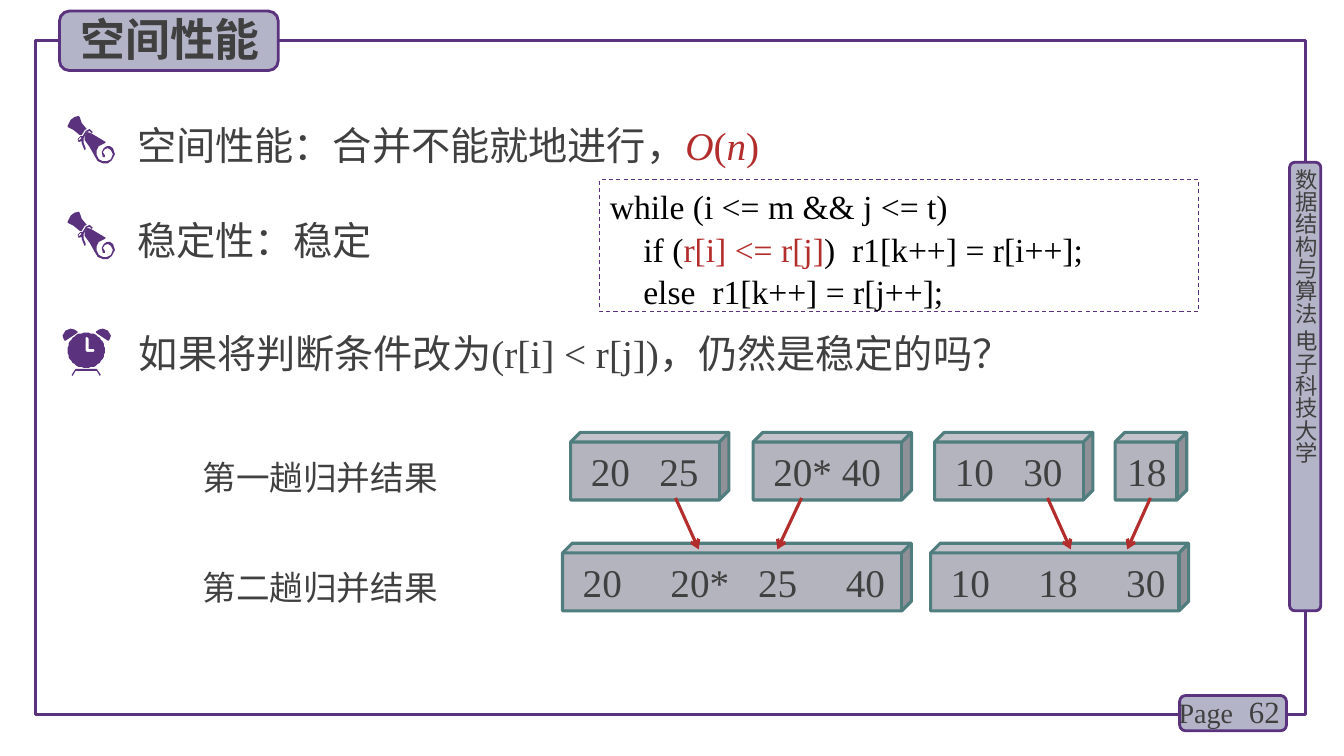
from dataclasses import dataclass
from math import cos, pi, sin
from typing import NamedTuple

from lxml.etree import SubElement
from pptx import Presentation
from pptx.dml.color import RGBColor
from pptx.enum.dml import MSO_LINE_DASH_STYLE as Dash
from pptx.enum.shapes import MSO_CONNECTOR, MSO_SHAPE as Preset
from pptx.enum.text import MSO_ANCHOR as Anchor, PP_ALIGN as Align
from pptx.oxml.ns import qn
from pptx.util import Inches, Pt

PURPLE = RGBColor(0x5A, 0x32, 0x7D)
LAVENDER = RGBColor(0xB4, 0xB4, 0xC8)
STEEL = RGBColor(0xB4, 0xB4, 0xBE)
TEAL = RGBColor(0x50, 0x7D, 0x7D)
RED = RGBColor(0xB4, 0x2D, 0x2D)
GRAY = RGBColor(0x40, 0x40, 0x40)
BLACK = RGBColor(0, 0, 0)
SERIF, SANS = "Times New Roman", "Noto Sans CJK SC"

Point = tuple[float, float]
Contour = list[Point]


class Run(NamedTuple):
    text: str
    color: RGBColor = GRAY
    italic: bool = False


@dataclass
class Panel:
    left: float
    top: float
    width: float
    height: float
    preset: int = Preset.ROUNDED_RECTANGLE
    fill: RGBColor | None = LAVENDER
    line: RGBColor = PURPLE
    weight: float = 2


@dataclass
class Label:
    left: float
    top: float
    width: float
    height: float
    runs: list[Run]
    size: float = 28
    font: str = SERIF
    bold: bool = False
    inset: float = 0.1
    spacing: float = 1
    align: int = Align.LEFT


@dataclass
class Block:
    left: float
    top: float
    width: float
    numbers: list[str]
    step: float


presentation = Presentation()
presentation.slide_width, presentation.slide_height = Inches(13.33), Inches(7.5)
slide = presentation.slides.add_slide(presentation.slide_layouts[6])
shapes = slide.shapes


def write(paragraph, runs: list[Run], size: float, font: str = SERIF, bold: bool = False) -> None:
    for text, color, italic in runs:
        run = paragraph.add_run()
        run.text = text
        formats = {"size": Pt(size), "name": font, "bold": bold, "italic": italic}
        for name, value in formats.items():
            setattr(run.font, name, value)
        run.font.color.rgb = color
        SubElement(run.font._element, qn("a:ea")).set("typeface", SANS)


def draw_panel(panel: Panel):
    shape = shapes.add_shape(panel.preset, Inches(panel.left), Inches(panel.top),
                             Inches(panel.width), Inches(panel.height))
    shape.shadow.inherit = False
    if panel.fill is None:
        shape.fill.background()
    else:
        shape.fill.solid()
        shape.fill.fore_color.rgb = panel.fill
    shape.line.color.rgb = panel.line
    shape.line.width = Pt(panel.weight)
    return shape


def draw_label(label: Label):
    box = shapes.add_textbox(Inches(label.left), Inches(label.top),
                             Inches(label.width), Inches(label.height))
    frame = box.text_frame
    frame.word_wrap = True
    frame.margin_left = Inches(label.inset)
    paragraph = frame.paragraphs[0]
    paragraph.alignment = label.align
    paragraph.line_spacing = label.spacing
    write(paragraph, label.runs, label.size, label.font, label.bold)
    return frame


def draw_block(block: Block) -> None:
    shape = draw_panel(Panel(block.left, block.top, block.width, 0.67, Preset.CUBE, STEEL, TEAL, 2.25))
    shape.adjustments[0] = 0.143
    frame = shape.text_frame
    frame.word_wrap = True
    frame.vertical_anchor = Anchor.MIDDLE
    frame.margin_left = Inches(0.2 if block.step else 0.12)
    frame.margin_right = 0
    paragraph = frame.paragraphs[0]
    paragraph.alignment = Align.LEFT
    if block.step:
        tabs = SubElement(paragraph._p.get_or_add_pPr(), qn("a:tabLst"))
        for index in range(1, len(block.numbers)):
            tab = SubElement(tabs, qn("a:tab"))
            tab.set("pos", str(Inches(block.step * index)))
            tab.set("algn", "l")
    write(paragraph, [Run("\t".join(block.numbers))], 28)


def draw_arrow(start: Point, end: Point) -> None:
    arrow = shapes.add_connector(MSO_CONNECTOR.STRAIGHT, *map(Inches, start + end))
    arrow.line.color.rgb = RED
    arrow.line.width = Pt(2.25)
    SubElement(arrow.line._get_or_add_ln(), qn("a:tailEnd")).set("type", "arrow")
    SubElement(arrow._element.spPr, qn("a:effectLst"))


def draw_icon(parts: list[list[Contour]], left: float, top: float) -> None:
    """Draw filled outlines whose points are hundredths of an inch."""
    for first, *holes in parts:
        builder = shapes.build_freeform(*first[0], scale=Inches(0.01))
        builder.add_line_segments(first[1:], close=True)
        for hole in holes:
            builder.move_to(*hole[0])
            builder.add_line_segments(hole[1:], close=True)
        shape = builder.convert_to_shape(Inches(left), Inches(top))
        shape.shadow.inherit = False
        shape.fill.solid()
        shape.fill.fore_color.rgb = PURPLE
        shape.line.fill.background()


# Frame, side banner, page number and title
draw_panel(Panel(0.35, 0.4, 12.6, 6.69, Preset.RECTANGLE, None, PURPLE, 2.25))
for tab_panel in (Panel(12.79, 1.61, 0.31, 4.45), Panel(11.7, 6.9, 1.06, 0.35), Panel(0.59, 0.11, 2.17, 0.59)):
    draw_panel(tab_panel)
banner = draw_label(Label(12.82, 1.67, 0.27, 4.49, [Run("数据结构与算法 电子科技大学")], 16, SANS, inset=0))
banner.margin_top = banner.margin_right = banner.margin_bottom = 0
banner._txBody.bodyPr.set("vert", "eaVert")
number = draw_label(Label(11.87, 6.86, 0.92, 0.4, [Run("62")], 22, align=Align.RIGHT))
number.vertical_anchor = Anchor.MIDDLE

# Headings, statements and captions
LABELS = [
    Label(11.59, 6.85, 1.28, 0.44, [Run("Page")], 20),
    Label(0.7, 0.07, 2.1, 0.64, [Run("空间性能")], 32, SANS, bold=True),
    Label(1.16, 1.01, 7.35, 0.65, [Run("空间性能：合并不能就地进行，"), Run("O", RED, True), Run("(", RED),
                                   Run("n", RED, True), Run(")", RED)], inset=0.2, spacing=1.3),
    Label(1.16, 1.96, 5.95, 0.71, [Run("稳定性：稳定")], inset=0.2, spacing=1.3),
    Label(1.28, 3.08, 9.43, 0.71, [Run("如果将判断条件改为(r[i] < r[j])，仍然是稳定的吗？")], spacing=1.3),
    Label(1.91, 4.48, 2.8, 0.5, [Run("第一趟归并结果")], 24, SANS),
    Label(1.91, 5.58, 2.8, 0.5, [Run("第二趟归并结果")], 24, SANS),
]
for text_label in LABELS:
    draw_label(text_label)

# Scroll and alarm clock icons
SCROLL = [
    [[(15, 19), (18, 14), (20, 13), (15, 7), (13, 1), (12, 0), (8, 1), (4, 4), (1, 10), (1, 11), (7, 14), (13, 19)]],
    [[(46, 32), (43, 30), (40, 30), (37, 32), (35, 36), (36, 41), (38, 41), (38, 39), (36, 36), (38, 33),
      (41, 32), (44, 34), (46, 38), (44, 43), (40, 45), (36, 45), (32, 43), (30, 39), (30, 34), (32, 30),
      (38, 27), (39, 26), (24, 17), (20, 16), (18, 20), (18, 24), (23, 31), (28, 40), (31, 45), (36, 47),
      (41, 47), (45, 44), (48, 38)]],
    [[(18, 34), (17, 32), (15, 27), (15, 25), (12, 26), (11, 23), (14, 20), (16, 20), (19, 15), (23, 13),
      (26, 16), (25, 17), (23, 15), (20, 16), (18, 20), (17, 22), (17, 27), (19, 32), (19, 33)],
     [(14, 21), (12, 23), (12, 24), (13, 24), (15, 22)]],
]
EAR = [(8, 0), (3, 2), (0, 7), (1, 10), (2, 12), (3, 12), (15, 4), (15, 3), (12, 1)]
DIAL = [(23.5 + 18.5 * cos(step * pi / 24), 21.5 + 17.5 * sin(step * pi / 24)) for step in range(48)]
CLOCK = [
    [[(9, 46), (13, 40), (34, 40), (38, 46), (37, 47), (34, 42), (13, 42), (10, 47)]],
    [EAR],
    [[(48 - x, y) for x, y in EAR]],
    [DIAL, [(31, 23), (24, 23), (23, 22), (23, 9), (24, 8), (26, 10), (26, 20), (31, 20), (32, 22)]],
]
draw_icon(SCROLL, 0.66, 1.15)
draw_icon(SCROLL, 0.66, 2.1)
draw_icon(CLOCK, 0.62, 3.26)

# Merge passes
FIRST_PASS, SECOND_PASS = 4.29, 5.39
BLOCKS = [
    Block(5.66, FIRST_PASS, 1.57, ["20", "25"], 0.68),
    Block(7.47, FIRST_PASS, 1.57, ["20*", "40"], 0.68),
    Block(9.27, FIRST_PASS, 1.57, ["10", "30"], 0.68),
    Block(11.06, FIRST_PASS, 0.71, ["18"], 0),
    Block(5.58, SECOND_PASS, 3.46, ["20", "20*", "25", "40"], 0.87),
    Block(9.23, SECOND_PASS, 2.56, ["10", "18", "30"], 0.87),
]
for number_block in BLOCKS:
    draw_block(number_block)
for start_x, end_x in ((7.95, 7.71), (6.7, 6.93), (11.41, 11.18), (10.39, 10.62)):
    draw_arrow((start_x, 4.94), (end_x, 5.45))

# Code box
code_box = draw_panel(Panel(5.95, 1.78, 5.94, 1.31, Preset.RECTANGLE, None, PURPLE, 0.75))
code_box.line.dash_style = Dash.DASH
code_frame = code_box.text_frame
code_frame.word_wrap = True
code_frame.vertical_anchor = Anchor.TOP
CODE = [
    [Run("while (i <= m && j <= t)", BLACK)],
    [Run("    if (", BLACK), Run("r[i] <= r[j]", RED), Run(")  r1[k++] = r[i++];", BLACK)],
    [Run("    else  r1[k++] = r[j++];", BLACK)],
]
for row, code_line in enumerate(CODE):
    code_paragraph = code_frame.add_paragraph() if row else code_frame.paragraphs[0]
    code_paragraph.alignment = Align.LEFT
    code_paragraph.line_spacing = 1.05
    write(code_paragraph, code_line, 24)

presentation.save("out.pptx")
